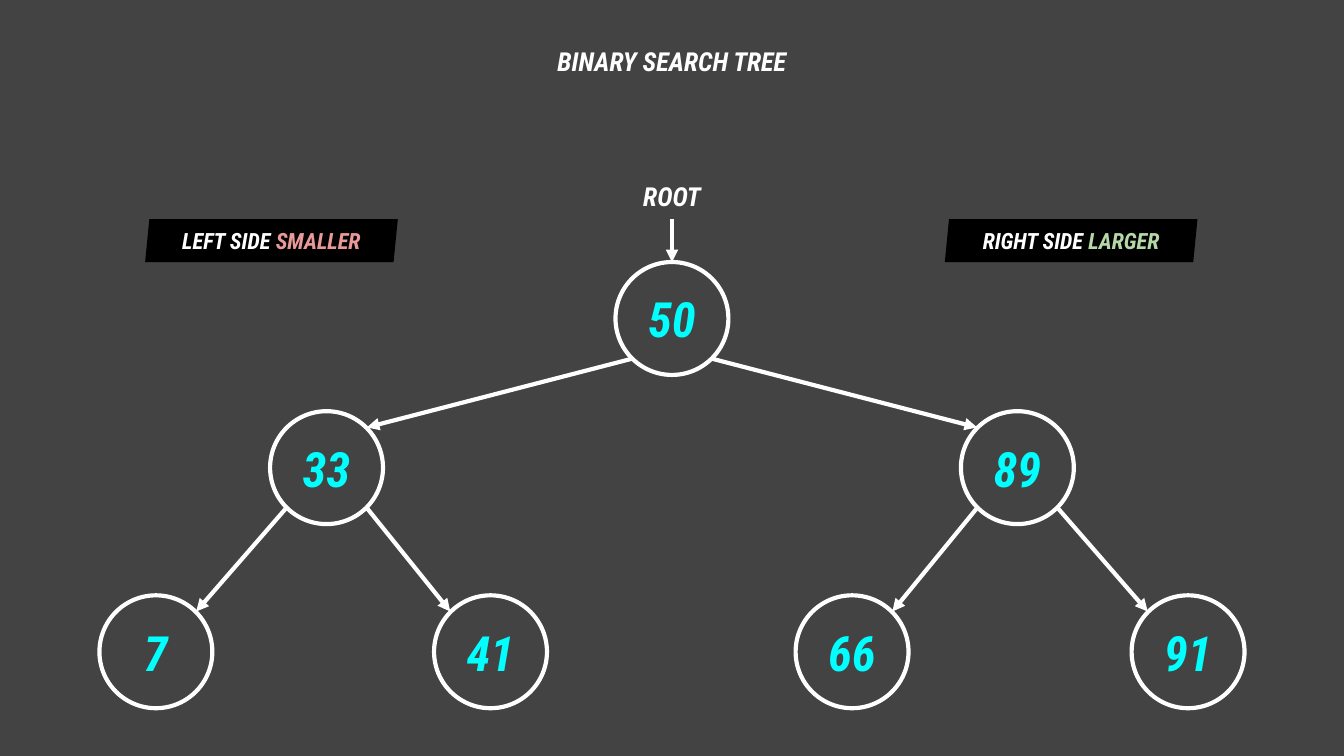
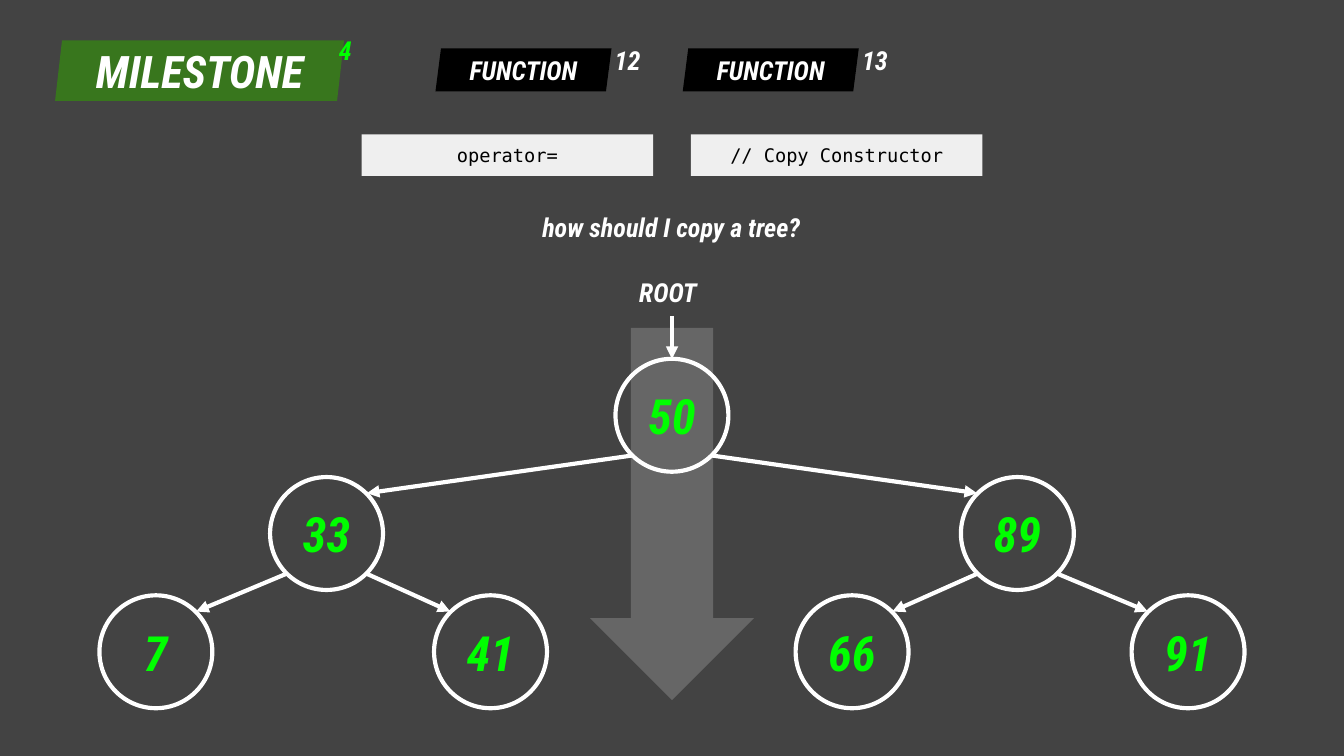
from lxml import etree
from pptx import Presentation
from pptx.dml.color import RGBColor
from pptx.enum.shapes import MSO_CONNECTOR, MSO_SHAPE
from pptx.enum.text import MSO_ANCHOR, MSO_AUTO_SIZE, PP_ALIGN
from pptx.oxml.ns import qn
from pptx.util import Inches, Pt

OVAL, SLANT = MSO_SHAPE.OVAL, MSO_SHAPE.PARALLELOGRAM
RECT, DOWN = MSO_SHAPE.RECTANGLE, MSO_SHAPE.DOWN_ARROW
LINE = MSO_CONNECTOR.STRAIGHT
TOP, MIDDLE = MSO_ANCHOR.TOP, MSO_ANCHOR.MIDDLE
CENTER, FIXED = PP_ALIGN.CENTER, MSO_AUTO_SIZE.NONE


class Theme:
    back, white, black = "434343", "FFFFFF", "000000"
    cyan, lime, green = "00FFFF", "00FF00", "38761D"
    pink, mint = "EA9999", "B6D7A8"
    gray, pale = "666666", "EFEFEF"
    stroke = Pt(2.25)
    label = dict(name="Roboto Condensed", size=Pt(14), bold=True, italic=True)
    small = label | dict(size=Pt(12))
    value = label | dict(size=Pt(26))
    badge = label | dict(size=Pt(24))
    code = dict(name="DejaVu Sans Mono", size=Pt(10))


def write(box, runs, style, anchor=TOP, pad=0.05):
    """Fill a box with centred (text, colour) runs."""
    frame = box.text_frame
    form = dict(word_wrap=True, auto_size=FIXED, vertical_anchor=anchor,
                margin_left=Inches(0.1), margin_right=Inches(0.1),
                margin_top=Inches(pad), margin_bottom=Inches(pad))
    for key, val in form.items():
        setattr(frame, key, val)
    para = frame.paragraphs[0]
    para.alignment = CENTER
    for text, color in runs:
        run = para.add_run()
        run.text = text
        for key, val in style.items():
            setattr(run.font, key, val)
        run.font.color.rgb = RGBColor.from_string(color)


def draw(slide, kind, at, fill=None, adj=(), runs=(), style=Theme.label):
    """Add a filled shape, or a white outline if there is no fill."""
    shape = slide.shapes.add_shape(kind, *map(Inches, at))
    shape.shadow.inherit = False
    for i, val in enumerate(adj):
        shape.adjustments[i] = val
    if fill:
        shape.fill.solid()
        shape.fill.fore_color.rgb = RGBColor.from_string(fill)
        shape.line.fill.background()
    else:
        shape.fill.background()
        shape.line.color.rgb = RGBColor.from_string(Theme.white)
        shape.line.width = Theme.stroke
    if runs:
        write(shape, runs, style, MIDDLE, 0.1)


# Deck (16:9) and shared background
prs = Presentation()
prs.slide_width = Inches(10)
prs.slide_height = Inches(10 * 9 / 16)
back = prs.slide_master.background.fill
back.solid()
back.fore_color.rgb = RGBColor.from_string(Theme.back)

# Titles
titles = [("BINARY SEARCH TREE", (1.29, 0.29, 7.42, 0.63)),
          ("how should I copy a tree?", (3.14, 1.52, 3.71, 0.34))]
slides = []
for text, at in titles:
    slide = prs.slides.add_slide(prs.slide_layouts[5])
    title = slide.shapes.title
    for key, val in zip(("left", "top", "width", "height"), at):
        setattr(title, key, Inches(val))
    write(title, [(text, Theme.white)], Theme.label)
    slides.append(slide)
search, copy = slides

# Copy slide: arrow behind the tree, milestone, functions and code
draw(copy, DOWN, (4.39, 2.44, 1.22, 2.77), Theme.gray, (0.5, 0.5))
draw(copy, SLANT, (0.41, 0.3, 2.15, 0.45), Theme.green, (0.115,),
     [("MILESTONE", Theme.white)], Theme.badge)
notes = [(copy, "4", (2.35, 0.21, 0.44, 0.62), Theme.lime)]
funcs = [("12", 3.24, "operator=", 2.69),
         ("13", 5.08, "// Copy Constructor", 5.14)]
for num, x, code, left in funcs:
    draw(copy, SLANT, (x, 0.36, 1.31, 0.32), Theme.black, (0.128,),
         [("FUNCTION", Theme.white)])
    notes.append((copy, num, (x + 1.18, 0.28, 0.5, 0.48), Theme.white))
    draw(copy, RECT, (left, 1, 2.17, 0.31), Theme.pale,
         runs=[(code, Theme.black)], style=Theme.code)

# Trees: value -> (centre x, level, parent)
nodes = {"50": (5, 0, None),
         "33": (2.43, 1, "50"), "89": (7.57, 1, "50"),
         "7": (1.16, 2, "33"), "41": (3.65, 2, "33"),
         "66": (6.34, 2, "89"), "91": (8.84, 2, "89")}
radius, edge = 0.42, 0.3  # edge: offset of the 45-degree points
trees = [(search, (2.37, 3.48, 4.85), Theme.cyan, 4.58),
         (copy, (3.09, 3.97, 4.85), Theme.lime, 4.55)]
for slide, rows, color, left in trees:
    top = rows[0] - radius
    notes.append((slide, "ROOT", (left, top - 0.66, 0.84, 0.29), Theme.white))
    links = [(5, top - 0.32, 5, top)]
    for x, level, boss in nodes.values():
        if boss:
            px = nodes[boss][0]
            side = edge if x > px else -edge
            links.append((px + side, rows[level - 1] + edge,
                          x - side, rows[level] - edge))
    for ends in links:
        link = slide.shapes.add_connector(LINE, *map(Inches, ends))
        link.line.color.rgb = RGBColor.from_string(Theme.white)
        link.line.width = Theme.stroke
        etree.SubElement(link.line._get_or_add_ln(), qn("a:tailEnd"),
                         type="triangle")
        etree.SubElement(link._element.spPr, qn("a:effectLst"))
    for text, (x, level, boss) in nodes.items():
        draw(slide, OVAL, (x - radius, rows[level] - radius,
                           2 * radius, 2 * radius),
             runs=[(text, color)], style=Theme.value)

# Side labels
sides = [(1.08, "LEFT SIDE ", "SMALLER", Theme.pink),
         (7.03, "RIGHT SIDE ", "LARGER", Theme.mint)]
for x, side, word, color in sides:
    draw(search, SLANT, (x, 1.63, 1.88, 0.32), Theme.black, (0.098,),
         [(side, Theme.white), (word, color)], Theme.small)

# Plain text labels
for slide, text, at, color in notes:
    box = slide.shapes.add_textbox(*map(Inches, at))
    write(box, [(text, color)], Theme.label)

prs.save("out.pptx")
